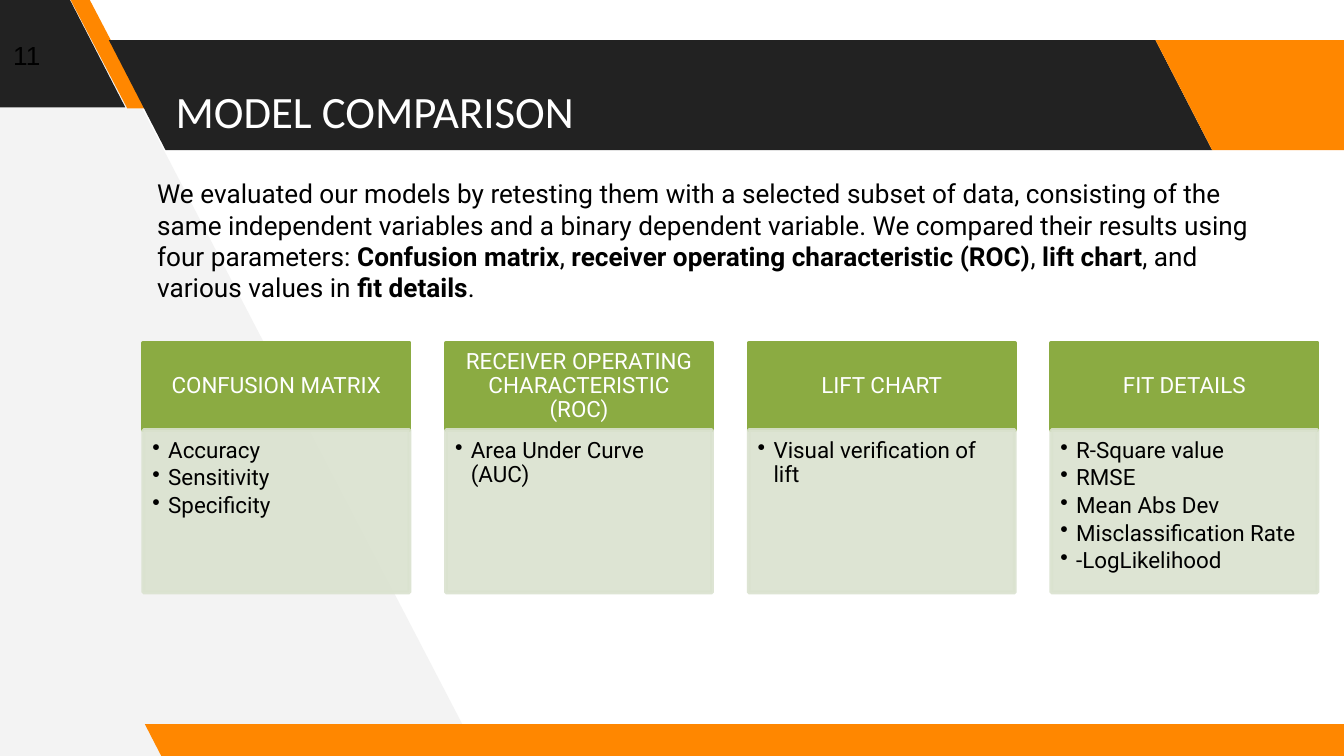
from lxml import etree
from pptx import Presentation
from pptx.dml.color import RGBColor
from pptx.enum.shapes import MSO_SHAPE
from pptx.enum.text import MSO_ANCHOR, PP_ALIGN
from pptx.oxml.ns import qn
from pptx.util import Cm, Pt

RECTANGLE = MSO_SHAPE.RECTANGLE
PARALLELOGRAM = MSO_SHAPE.PARALLELOGRAM
TOP, MIDDLE, BOTTOM = MSO_ANCHOR.TOP, MSO_ANCHOR.MIDDLE, MSO_ANCHOR.BOTTOM
LEFT, CENTER = PP_ALIGN.LEFT, PP_ALIGN.CENTER

DARK, ORANGE, PALE = "222222", "FF8700", "F3F3F3"
GREEN, SAGE, WHITE, BLACK = "8BAB42", "DAE2CF", "FFFFFF", "000000"

BANDS = [
    (-2.51, -0.05, 4.88, 2.08, 0.515, DARK),
    (1.32, -0.03, 1.45, 2.08, 0.75, ORANGE),
    (2.06, 0.76, 20.85, 2.08, 0.515, DARK),
    (21.84, 0.76, 4.88, 2.08, 0.515, ORANGE),
    (2.74, 13.69, 23.24, 0.64, 0.515, ORANGE),
]
INTRODUCTION = [
    ("We evaluated our models by retesting them with a selected subset of data, "
     "consisting of the same independent variables and a binary dependent variable. "
     "We compared their results using four parameters: ", False),
    ("Confusion matrix", True),
    (", ", False),
    ("receiver operating characteristic (ROC)", True),
    (", ", False),
    ("lift chart", True),
    (", and various values in ", False),
    ("fit details", True),
    (".", False),
]
CARDS = [
    ("CONFUSION MATRIX", ["Accuracy", "Sensitivity", "Specificity"]),
    ("RECEIVER OPERATING CHARACTERISTIC (ROC)", ["Area Under Curve (AUC)"]),
    ("LIFT CHART", ["Visual verification of lift"]),
    ("FIT DETAILS", ["R-Square value", "RMSE", "Mean Abs Dev",
                     "Misclassification Rate", "-LogLikelihood"]),
]
CARD_LEFT, CARD_PITCH, CARD_WIDTH = 2.71, 5.72, 5.03
HEADER_TOP, HEADER_HEIGHT, DETAIL_HEIGHT = 6.48, 1.65, 3.07


def color(value):
    """Turn a hex string into a colour."""
    return RGBColor.from_string(value)


def set_font(paragraph, name, size, hex_color):
    """Set the font of a whole paragraph."""
    paragraph.font.name = name
    paragraph.font.size = Pt(size)
    paragraph.font.color.rgb = color(hex_color)


def set_frame(frame, anchor, insets):
    """Wrap a text frame and set its anchor and its insets in centimetres."""
    frame.word_wrap = True
    frame.vertical_anchor = anchor
    (frame.margin_left, frame.margin_top,
     frame.margin_right, frame.margin_bottom) = map(Cm, insets)


def set_alpha(fill_format, percent):
    """Make a solid fill partly transparent."""
    element = fill_format.fore_color._xFill[0]
    etree.SubElement(element, qn("a:alpha"), val=str(percent * 1000))


def add_backdrop(slide):
    """Draw the pale slanted area on the left."""
    builder = slide.shapes.build_freeform(Cm(9.04), Cm(14.27))
    points = [(1.57, -0.1), (-0.15, -0.1), (-0.05, 14.38)]
    builder.add_line_segments([(Cm(x), Cm(y)) for x, y in points])
    shape = builder.convert_to_shape()
    shape.shadow.inherit = False
    shape.fill.solid()
    shape.fill.fore_color.rgb = color(PALE)
    shape.line.fill.background()


def add_band(slide, left, top, width, height, slant, hex_color):
    """Draw a mirrored parallelogram without an outline."""
    shape = slide.shapes.add_shape(PARALLELOGRAM, Cm(left), Cm(top), Cm(width), Cm(height))
    shape.adjustments[0] = slant
    shape._element.spPr.xfrm.set("flipH", "1")
    shape.shadow.inherit = False
    shape.fill.solid()
    shape.fill.fore_color.rgb = color(hex_color)
    shape.line.fill.background()


def add_text(slide, left, top, width, height, runs, name, size, hex_color, anchor=TOP):
    """Add a one-paragraph text box from (text, bold) runs."""
    box = slide.shapes.add_textbox(Cm(left), Cm(top), Cm(width), Cm(height))
    set_frame(box.text_frame, anchor, (0.25, 0.25, 0.25, 0.25))
    paragraph = box.text_frame.paragraphs[0]
    set_font(paragraph, name, size, hex_color)
    for text, bold in runs:
        run = paragraph.add_run()
        run.text = text
        if bold:
            run.font.bold = True
    return box


def add_panel(slide, left, top, height, hex_color, opacity=100):
    """Draw one rectangle of a card, outlined in its own colour."""
    shape = slide.shapes.add_shape(RECTANGLE, Cm(left), Cm(top), Cm(CARD_WIDTH), Cm(height))
    shape.shadow.inherit = False
    shape.line.width = Pt(2)
    for fill in (shape.fill, shape.line.fill):
        fill.solid()
        fill.fore_color.rgb = color(hex_color)
        if opacity < 100:
            set_alpha(fill, opacity)
    return shape


def add_bullet(paragraph):
    """Give a paragraph a round bullet with a hanging indent."""
    properties = paragraph._p.get_or_add_pPr()
    properties.set("marL", str(Cm(0.3)))
    properties.set("indent", str(-Cm(0.3)))
    mark = etree.Element(qn("a:buChar"), char="•")
    properties.insert_element_before(mark, "a:tabLst", "a:defRPr", "a:extLst")


def add_card(slide, left, heading, items):
    """Draw a card with a heading above a bulleted list."""
    header = add_panel(slide, left, HEADER_TOP, HEADER_HEIGHT, GREEN)
    set_frame(header.text_frame, MIDDLE, (0.23, 0.13, 0.23, 0.13))
    header.text_frame.text = heading
    paragraph = header.text_frame.paragraphs[0]
    paragraph.alignment = CENTER
    paragraph.line_spacing = 0.9
    set_font(paragraph, "Roboto", 12, WHITE)

    detail = add_panel(slide, left, HEADER_TOP + HEADER_HEIGHT, DETAIL_HEIGHT, SAGE, 90)
    set_frame(detail.text_frame, TOP, (0.17, 0.17, 0.23, 0.25))
    detail.text_frame.text = "\n".join(items)
    for paragraph in detail.text_frame.paragraphs:
        paragraph.alignment = LEFT
        paragraph.line_spacing = 0.9
        paragraph.space_after = Pt(1.8)
        set_font(paragraph, "Roboto", 12, BLACK)
        add_bullet(paragraph)


def main():
    """Build the model comparison slide."""
    presentation = Presentation()
    presentation.slide_width, presentation.slide_height = Cm(25.4), Cm(14.29)
    slide = presentation.slides.add_slide(presentation.slide_layouts[6])
    add_backdrop(slide)
    for band in BANDS:
        add_band(slide, *band)
    add_text(slide, 0, 0.5, 1.5, 1.1, [("11", False)], "Arial", 14, BLACK, MIDDLE)
    add_text(slide, 3.07, 0.76, 18.67, 2.08, [("MODEL COMPARISON", False)],
             "Calibri", 24, WHITE, BOTTOM)
    for index, (heading, items) in enumerate(CARDS):
        add_card(slide, CARD_LEFT + index * CARD_PITCH, heading, items)
    introduction = add_text(slide, 2.72, 3.23, 21.46, 2.64, INTRODUCTION, "Roboto", 14, BLACK)
    set_frame(introduction.text_frame, TOP, (0.25, 0.13, 0.25, 0.13))
    presentation.save("out.pptx")


if __name__ == "__main__":
    main()
